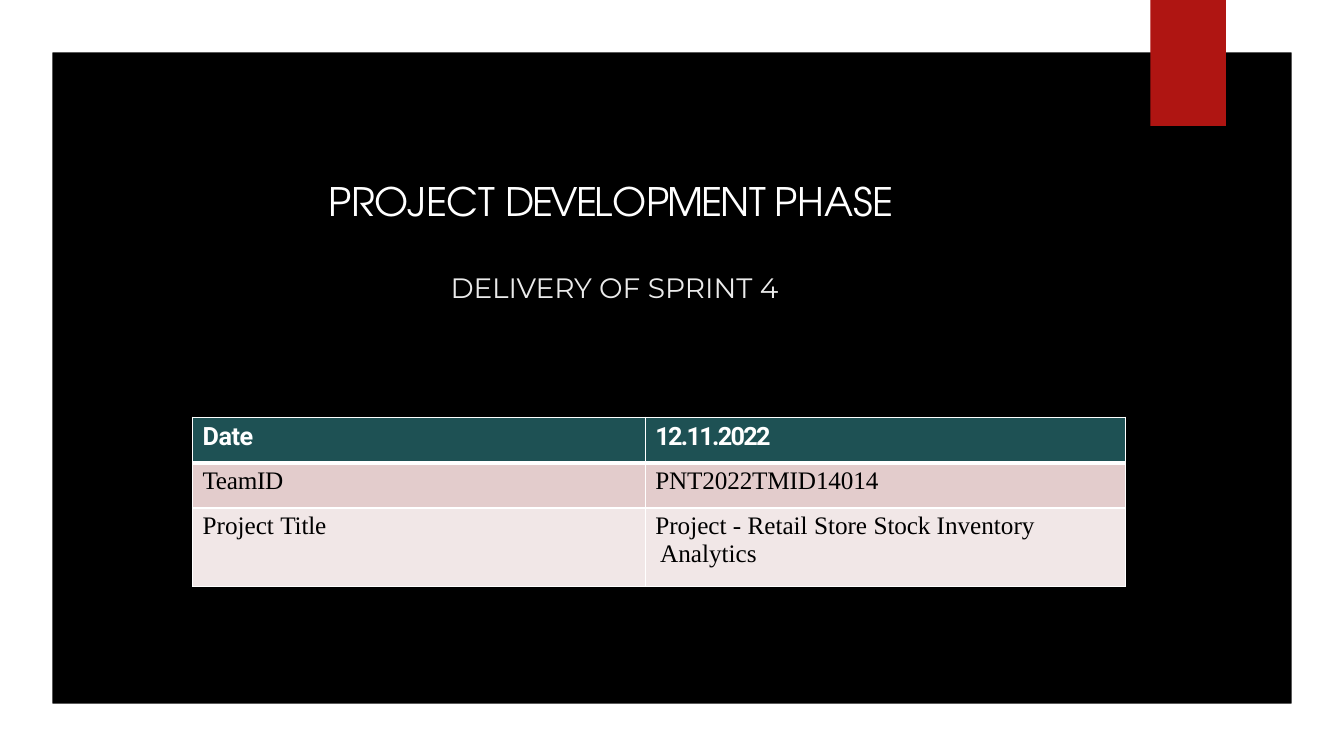
from dataclasses import dataclass

from lxml import etree
from pptx import Presentation
from pptx import util as u
from pptx.dml.color import RGBColor
from pptx.enum import shapes, text
from pptx.oxml import ns

# Each run is (wording, letter spacing in points); BREAK starts a new line.
BREAK = None
TITLE = [("PROJEC", -0.4), ("T ", -0.3), ("DEVEL", -1.7), ("O", -1.9), ("PMEN", -1.6),
         ("T ", -1.4), ("PH", -0.3), ("A", -0.4), ("SE", 0.1)]
SUBTITLE = [("DELIVERY ", -0.1), ("OF SPRINT 4", 0)]
ROWS = [
    ([("Date", -0.3)], [("12.11.2022", -1.2)]),
    ([("TeamID", -0.2)], [("PNT2022TMID14014", -0.1)]),
    ([("Project ", 0), ("Title", -0.1)],
     [("Project - Retail Store ", 0), ("Stock ", -0.1), ("Inventory", 0), BREAK,
      (" Analytics", 0)]),
]
COLUMN_WIDTHS = [4.49, 4.76]
ROW_HEIGHTS = [0.45, 0.45, 0.78]
WIDTH, HEIGHT, MARGIN = 13.33, 7.5, 0.52


@dataclass(frozen=True)
class Style:
    font: str
    size: float
    color: str
    bold: bool = False
    space_before: float = 0


@dataclass(frozen=True)
class Theme:
    background: str = "000000"
    frame: str = "FFFFFF"
    ribbon: str = "AF1512"
    border: str = "FFFFFF"
    row_fills: tuple = ("1E5154", "E3CCCC", "F1E7E7")
    title: Style = Style("TeX Gyre Adventor", 28, "FFFFFF", space_before=0.9)
    subtitle: Style = Style("Montserrat", 20, "EBEBEB", space_before=1.1)
    header: Style = Style("Roboto", 18, "FFFFFF", True, 3.3)
    body: Style = Style("Times New Roman", 18, "000000", space_before=3)


THEME = Theme()


def paint(fill, color):
    fill.solid()
    fill.fore_color.rgb = RGBColor.from_string(color)


def write(frame, runs, style, align=text.PP_ALIGN.LEFT):
    paragraph = frame.paragraphs[0]
    paragraph.alignment = align
    paragraph.space_before = u.Pt(style.space_before)
    for item in runs:
        if item is BREAK:
            paragraph.add_line_break()
            continue
        run = paragraph.add_run()
        run.text, spacing = item
        font = run.font
        font.name, font.size, font.bold = style.font, u.Pt(style.size), style.bold
        font.color.rgb = RGBColor.from_string(style.color)
        font._element.set("spc", str(round(spacing * 100)))


def add_block(slide, kind, box, color):
    shape = slide.shapes.add_shape(kind, *map(u.Inches, box))
    shape.shadow.inherit = False
    paint(shape.fill, color)
    shape.line.fill.background()
    return shape


def add_text(slide, box, runs, style, anchor, align=text.PP_ALIGN.LEFT):
    frame = slide.shapes.add_textbox(*map(u.Inches, box)).text_frame
    frame.word_wrap = True
    frame.vertical_anchor = anchor
    frame.margin_left = frame.margin_right = frame.margin_bottom = 0
    frame.margin_top = u.Inches(0.01)
    write(frame, runs, style, align)


def add_borders(cell, widths):
    """Draw the left, right, top and bottom borders, widths in points."""
    properties = cell._tc.get_or_add_tcPr()
    for side, width in zip("LRTB", widths):
        line = etree.SubElement(properties, ns.qn(f"a:ln{side}"), w=str(u.Pt(width)))
        fill = etree.SubElement(line, ns.qn("a:solidFill"))
        etree.SubElement(fill, ns.qn("a:srgbClr"), val=THEME.border)


def add_details(slide, left, top):
    size = sum(COLUMN_WIDTHS), sum(ROW_HEIGHTS)
    table = slide.shapes.add_table(len(ROWS), len(COLUMN_WIDTHS),
                                   *map(u.Inches, (left, top, *size))).table
    for column, width in zip(table.columns, COLUMN_WIDTHS):
        column.width = u.Inches(width)
    for index, (row, contents) in enumerate(zip(table.rows, ROWS)):
        row.height = u.Inches(ROW_HEIGHTS[index])
        is_header = index == 0
        for cell, runs in zip(row.cells, contents):
            cell.margin_left = u.Inches(0.1)
            cell.margin_right = cell.margin_bottom = 0
            cell.margin_top = u.Inches(0.05 if is_header else 0.04)
            add_borders(cell, (1, 1, 3 if index == 1 else 1, 3 if is_header else 1))
            paint(cell.fill, THEME.row_fills[index])
            write(cell.text_frame, runs, THEME.header if is_header else THEME.body)


def main():
    presentation = Presentation()
    presentation.slide_width, presentation.slide_height = u.Inches(WIDTH), u.Inches(HEIGHT)
    slide = presentation.slides.add_slide(presentation.slide_layouts[6])
    paint(slide.background.fill, THEME.background)

    frame = add_block(slide, shapes.MSO_SHAPE.FRAME, (0, 0, WIDTH, HEIGHT), THEME.frame)
    frame.adjustments[0] = MARGIN / HEIGHT
    add_block(slide, shapes.MSO_SHAPE.RECTANGLE, (11.41, 0, 0.75, 1.25), THEME.ribbon)

    add_text(slide, (3.26, 1.74, 5.68, 0.49), TITLE, THEME.title, text.MSO_ANCHOR.MIDDLE)
    add_text(slide, (4.29, 2.67, 3.61, 1.04), SUBTITLE, THEME.subtitle,
             text.MSO_ANCHOR.TOP, text.PP_ALIGN.CENTER)
    add_details(slide, 1.91, 4.14)
    presentation.save("out.pptx")


if __name__ == "__main__":
    main()
